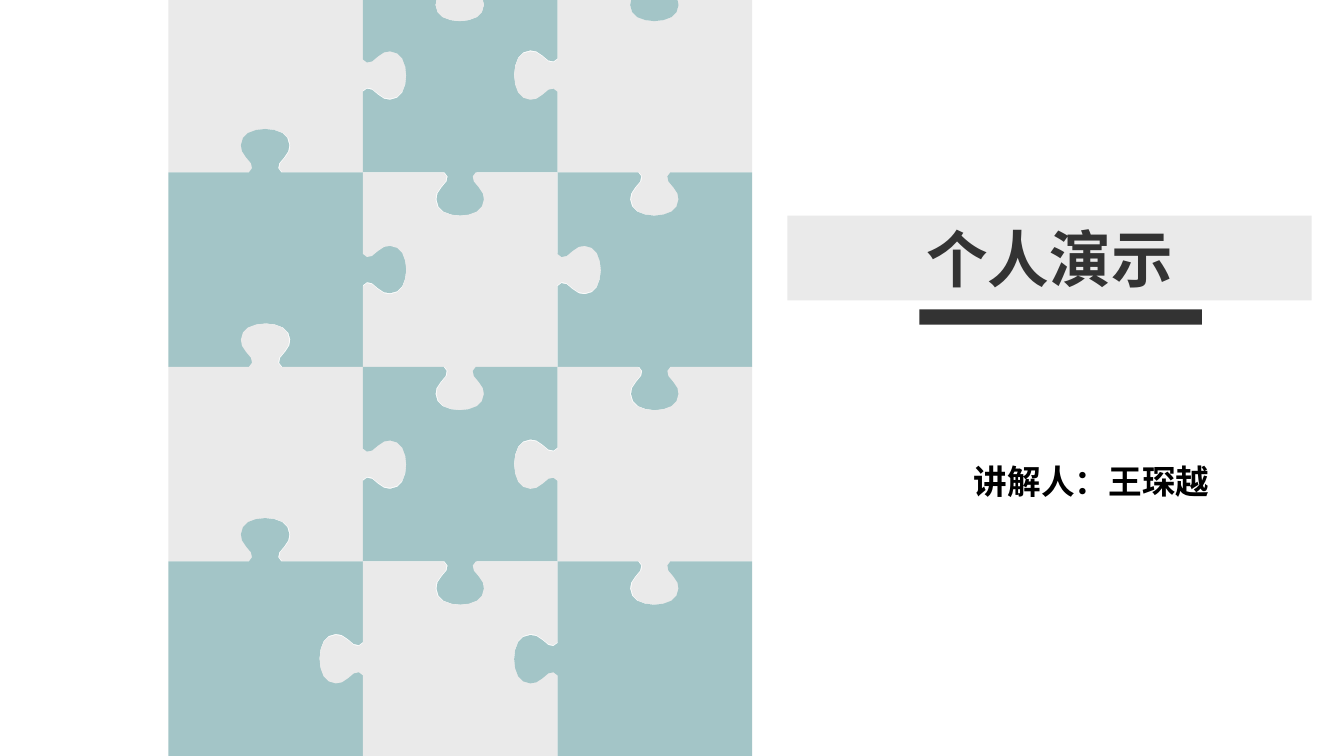
from pptx import Presentation
from pptx.dml.color import RGBColor
from pptx.enum.shapes import MSO_SHAPE
from pptx.enum.text import MSO_ANCHOR as ANCHOR, MSO_AUTO_SIZE as AUTO_SIZE, PP_ALIGN as ALIGN
from pptx.util import Pt

PX = 9144
TEAL = RGBColor(0xA3, 0xC5, 0xC7)
GREY = RGBColor(0xEA, 0xEA, 0xEA)
DARK = RGBColor(0x33, 0x33, 0x33)
BLACK = RGBColor(0, 0, 0)

LEFT, TOP, CELL = 167, -22, 193
COLS, ROWS = 3, 4
COLOURS = [GREY, TEAL]
HALF_KNOB = [(-16, 0), (-13, 4), (-14, 9), (-19, 15), (-23, 21),
             (-24, 27), (-22, 34), (-17, 39), (-9, 42)]
KNOB = HALF_KNOB + [(0, 43)] + [(-a, d) for a, d in reversed(HALF_KNOB)]
DOWN = [-1, 1, 1]
RIGHT = [[1, -1], [1, 1], [1, -1], [-1, -1]]


def side(x, y, ux, uy, bulge):
    points = [(x, y)]
    if bulge:
        for a, d in KNOB:
            along = CELL // 2 + a
            points.append((x + ux * along + abs(uy) * bulge * d,
                           y + uy * along + abs(ux) * bulge * d))
    return points


def set_text(sp, text, size, color, align, anchor, wrap):
    tf = sp.text_frame
    tf.auto_size = AUTO_SIZE.NONE
    tf.word_wrap = wrap
    tf.vertical_anchor = anchor
    p = tf.paragraphs[0]
    p.alignment = align
    p.space_before = Pt(0)
    r = p.add_run()
    r.text = text
    r.font.name = "Arial"
    r.font.size = Pt(size)
    r.font.bold = True
    r.font.color.rgb = color


prs = Presentation()
prs.slide_width, prs.slide_height = 1333 * PX, 750 * PX
s = prs.slides.add_slide(prs.slide_layouts[0])

pieces = []
for row in range(ROWS):
    for col in range(COLS):
        x, y = LEFT + col * CELL, TOP + row * CELL
        joints = [0] + RIGHT[row] + [0]
        bottom = DOWN[col] if row < ROWS - 1 else 0
        points = (side(x, y, 1, 0, DOWN[col])
                  + side(x + CELL, y, 0, 1, joints[col + 1])
                  + side(x + CELL, y + CELL, -1, 0, bottom)
                  + side(x, y + CELL, 0, -1, joints[col]))
        pieces.append((COLOURS[(row + col) % 2], points))

for col in (1, 2):
    middle = LEFT + col * CELL + CELL // 2
    tip = [(middle + a, TOP + d) for a, d in KNOB if d > 20]
    pieces.append((COLOURS[(col - 1) % 2], tip))

for color, points in pieces:
    visible = [(x, max(0, y)) for x, y in points]
    outline = s.shapes.build_freeform(*visible[0], scale=PX)
    outline.add_line_segments(visible[1:], close=True)
    sp = outline.convert_to_shape()
    sp.shadow.inherit = False
    sp.fill.solid()
    sp.fill.fore_color.rgb = color
    sp.line.fill.background()

title = s.shapes.title
title.left, title.top, title.width, title.height = 781 * PX, 214 * PX, 520 * PX, 84 * PX
title.fill.solid()
title.fill.fore_color.rgb = GREY
set_text(title, "个人演示", size=44, color=DARK,
         align=ALIGN.CENTER, anchor=ANCHOR.MIDDLE, wrap=True)

bar = s.shapes.add_shape(MSO_SHAPE.RECTANGLE, 912 * PX, 307 * PX, 280 * PX, 15 * PX)
bar.shadow.inherit = False
bar.fill.solid()
bar.fill.fore_color.rgb = DARK
bar.line.fill.background()

presenter = s.placeholders[1]
presenter.left, presenter.top, presenter.width, presenter.height = 956 * PX, 452 * PX, 256 * PX, 50 * PX
set_text(presenter, "讲解人：王琛越", size=24, color=BLACK,
         align=ALIGN.LEFT, anchor=ANCHOR.TOP, wrap=False)

prs.save("out.pptx")
